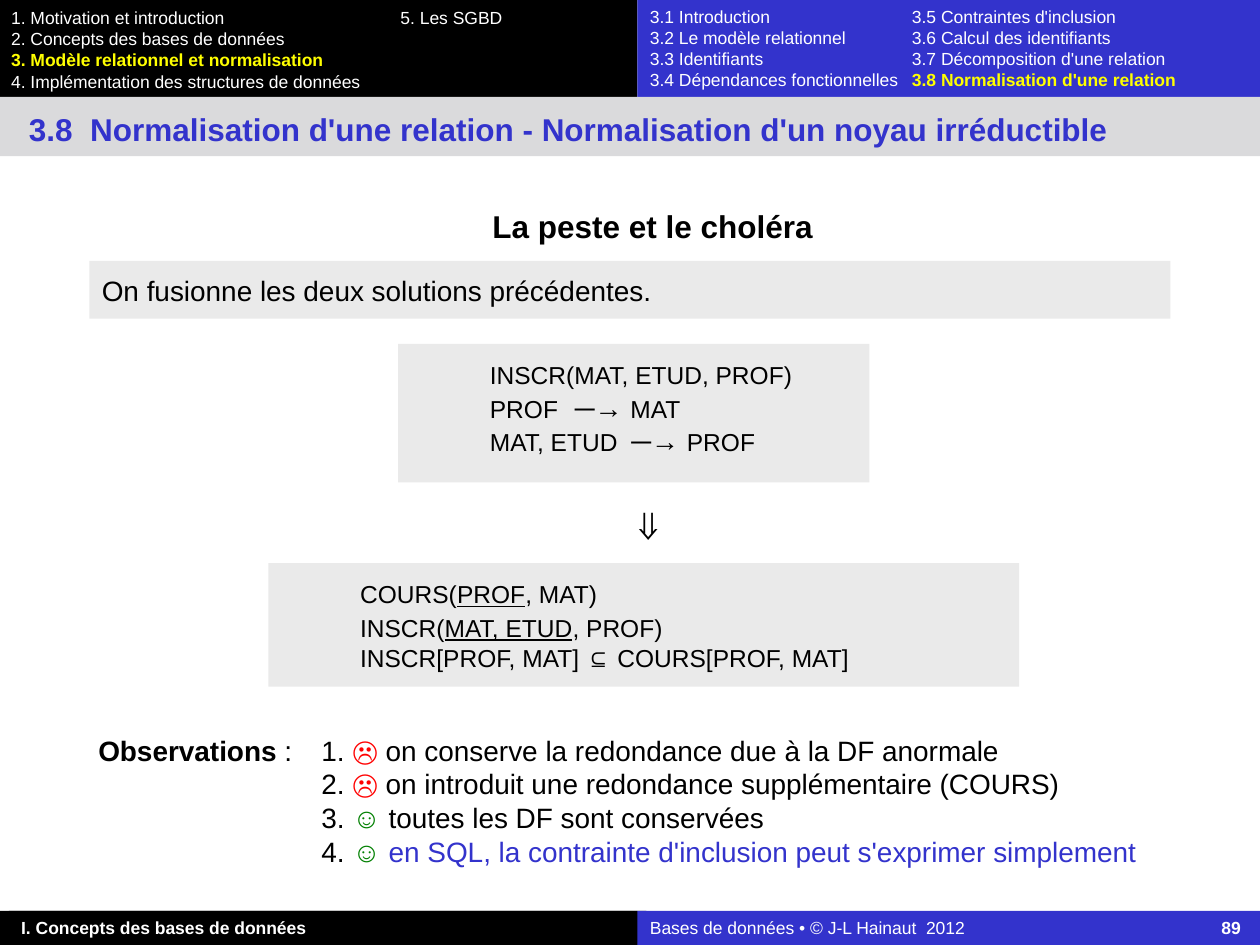
"""Build the course slide on normalising an irreducible kernel."""
from pptx import Presentation, util as u
from pptx.dml.color import RGBColor
from pptx.enum import shapes, text
from pptx.oxml.xmlchemy import OxmlElement

COLORS = {"black": "000000", "white": "FFFFFF", "blue": "3333CC", "yellow": "FFFF00",
          "band": "DADADC", "panel": "EAEAEA", "red": "FF0000", "green": "008000"}
WIDTH, HEIGHT = 10, 7.5
SPLIT = 5.06
HEAD, FOOT, BAND = 0.77, 0.27, 0.47
FOOT_TOP = HEIGHT - FOOT
MARGINS = (0.1, 0.05, 0.1, 0.05)
BODY_MARGINS = (0.06, 0.1, 0.02, 0.1)
INDENT = ("\t", {"size": 16, "name": "Times New Roman"})
CURRENT = {"color": "yellow", "bold": True}
KEY = {"underline": True}
ARROW = ("─→ ", {"size": 16})


def style(font, size=None, color=None, **traits):
    """Apply size, colour and any other traits to a font."""
    if size:
        font.size = u.Pt(size)
    if color:
        font.color.rgb = RGBColor.from_string(COLORS[color])
    for trait, value in traits.items():
        setattr(font, trait, value)


def add_tabs(paragraph, stops):
    """Give a paragraph its (position, alignment) tab stops."""
    tab_list = OxmlElement("a:tabLst")
    for position, side in stops:
        tab = OxmlElement("a:tab")
        tab.set("pos", str(u.Inches(position)))
        tab.set("algn", side)
        tab_list.append(tab)
    paragraph._p.get_or_add_pPr().append(tab_list)


def write(shape, lines, size, color="black", bold=False, margins=MARGINS,
          tabs=(), align=text.PP_ALIGN.LEFT, wrap=True):
    """Fill a shape with lines, each a string or a list of strings and styled parts."""
    frame = shape.text_frame
    frame.word_wrap = wrap
    frame.auto_size = text.MSO_AUTO_SIZE.NONE
    frame.vertical_anchor = text.MSO_ANCHOR.TOP
    (frame.margin_left, frame.margin_top,
     frame.margin_right, frame.margin_bottom) = map(u.Inches, margins)
    for index, line in enumerate(lines):
        paragraph = frame.add_paragraph() if index else frame.paragraphs[0]
        paragraph.alignment = align
        if tabs:
            add_tabs(paragraph, tabs)
        style(paragraph.font, size, color, name="Arial", bold=bold)
        for part in [line] if isinstance(line, str) else line:
            words, traits = (part, {}) if isinstance(part, str) else part
            run = paragraph.add_run()
            run.text = words
            style(run.font, **traits)


def add_bar(slide, box, color):
    """Add a plain filled rectangle."""
    bar = slide.shapes.add_shape(shapes.MSO_SHAPE.RECTANGLE, *map(u.Inches, box))
    bar.shadow.inherit = False
    bar.fill.solid()
    bar.fill.fore_color.rgb = RGBColor.from_string(COLORS[color])
    bar.line.fill.background()
    return bar


def add_label(slide, box, lines, size, **options):
    """Add a text box holding the lines."""
    write(slide.shapes.add_textbox(*map(u.Inches, box)), lines, size, **options)


def add_panel(slide, box, lines, size):
    """Add a grey panel with indented text."""
    write(add_bar(slide, box, "panel"), lines, size, margins=(0.1,) * 4, tabs=[(0.63, "l")])


def add_title(slide, words):
    """Place the title placeholder on its grey band."""
    add_bar(slide, (0, HEAD, WIDTH, BAND), "band")
    title = slide.shapes.title
    title.left, title.top, title.width, title.height = map(u.Inches, (0.13, 0.82, 9.33, 0.4))
    write(title, [words], 18, color="blue", bold=True)
    slide.shapes.element.append(title.element)


def add_navigation(slide):
    """Add the chapter and section lists at the top."""
    add_bar(slide, (0, 0, SPLIT, HEAD), "black")
    add_bar(slide, (SPLIT, 0, WIDTH - SPLIT, HEAD), "blue")
    add_label(slide, (-0.01, 0.01, SPLIT, HEAD), [
        "1. Motivation et introduction\t5. Les SGBD",
        "2. Concepts des bases de données",
        [("3. Modèle relationnel et normalisation", CURRENT)],
        "4. Implémentation des structures de données",
    ], 10, color="white", tabs=[(3.09, "l")])
    add_label(slide, (SPLIT, 0, WIDTH - SPLIT, HEAD), [
        "3.1 Introduction\t3.5 Contraintes d'inclusion",
        "3.2 Le modèle relationnel\t3.6 Calcul des identifiants",
        "3.3 Identifiants\t3.7 Décomposition d'une relation",
        ["3.4 Dépendances fonctionnelles\t", ("3.8 Normalisation d'une relation", CURRENT)],
    ], 10, color="white", tabs=[(2.08, "l")])


def add_footer(slide):
    """Add the part name, the course credit and the page number."""
    add_bar(slide, (0, FOOT_TOP, SPLIT, FOOT), "black")
    part = add_bar(slide, (0.07, FOOT_TOP, SPLIT, FOOT), "black")
    write(part, ["I. Concepts des bases de données"], 10, color="white", bold=True)
    course = add_bar(slide, (SPLIT, FOOT_TOP, WIDTH - SPLIT, FOOT), "blue")
    write(course, [["Bases de données • © J-L Hainaut  2012\t", ("89", {"bold": True})]],
          10, color="white", tabs=[(4.69, "r")])


def add_observations(slide):
    """Add the numbered drawbacks and benefits."""
    bad = ("☹", {"color": "red", "bold": True})
    good = ("☺ ", {"color": "green", "bold": True})
    add_label(slide, (0.72, 5.72, 8.58, 1.26), [
        [("Observations", {"bold": True}), " : \t1. ", bad,
         " on conserve la redondance due à la DF anormale"],
        ["\t2. ", bad, " on introduit une redondance supplémentaire (COURS)"],
        ["\t3. ", good, "toutes les DF sont conservées"],
        ["\t4. ", good, ("en SQL, la contrainte d'inclusion peut s'exprimer simplement",
                         {"color": "blue"})],
    ], 16, margins=BODY_MARGINS, tabs=[(1.77, "l")])


def main():
    """Assemble and save the slide."""
    deck = Presentation()
    deck.slide_width, deck.slide_height = u.Inches(WIDTH), u.Inches(HEIGHT)
    slide = deck.slides.add_slide(deck.slide_layouts[5])
    add_footer(slide)
    add_navigation(slide)
    add_title(slide, "3.8  Normalisation d'une relation - Normalisation d'un noyau irréductible")
    add_label(slide, (0.87, 1.54, 8.58, 0.5), ["La peste et le choléra"], 18, bold=True,
              margins=BODY_MARGINS, align=text.PP_ALIGN.CENTER)
    add_panel(slide, (0.71, 2.07, 8.58, 0.46),
              ["On fusionne les deux solutions précédentes."], 16)
    add_panel(slide, (3.16, 2.73, 3.74, 1.1), [
        [INDENT, "INSCR(MAT, ETUD, PROF)"],
        [INDENT, "PROF", (" ", {"size": 16, "name": "Courier New"}), ARROW, "MAT"],
        [INDENT, "MAT, ETUD  ", ARROW, "PROF"],
    ], 14)
    add_label(slide, (4.93, 3.91, 0.4, 0.5), ["⇓"], 24, wrap=False)
    add_panel(slide, (2.13, 4.47, 5.96, 0.98), [
        [INDENT, "COURS(", ("PROF", KEY), ", MAT)"],
        [INDENT, "INSCR(", ("MAT, ETUD", KEY), ", PROF)"],
        "\tINSCR[PROF, MAT] ⊆ COURS[PROF, MAT]",
    ], 14)
    add_observations(slide)
    deck.save("out.pptx")


if __name__ == "__main__":
    main()
